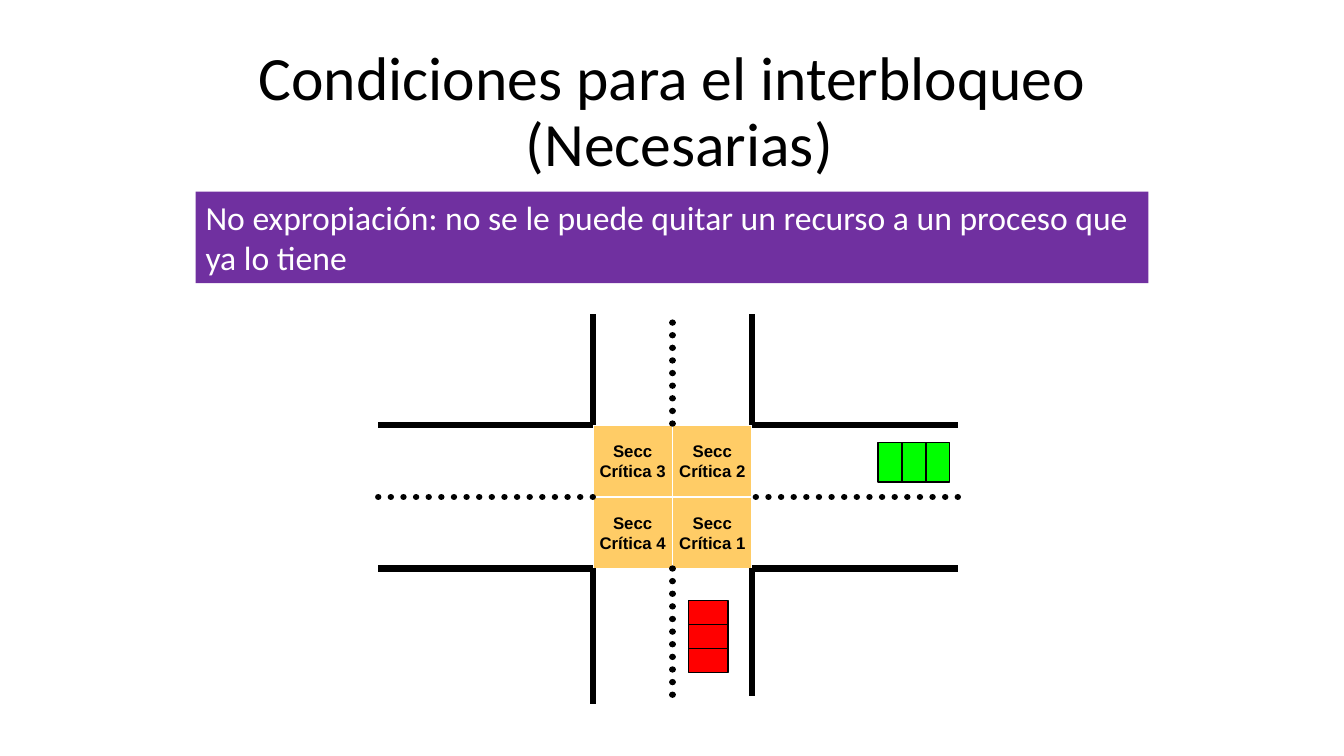
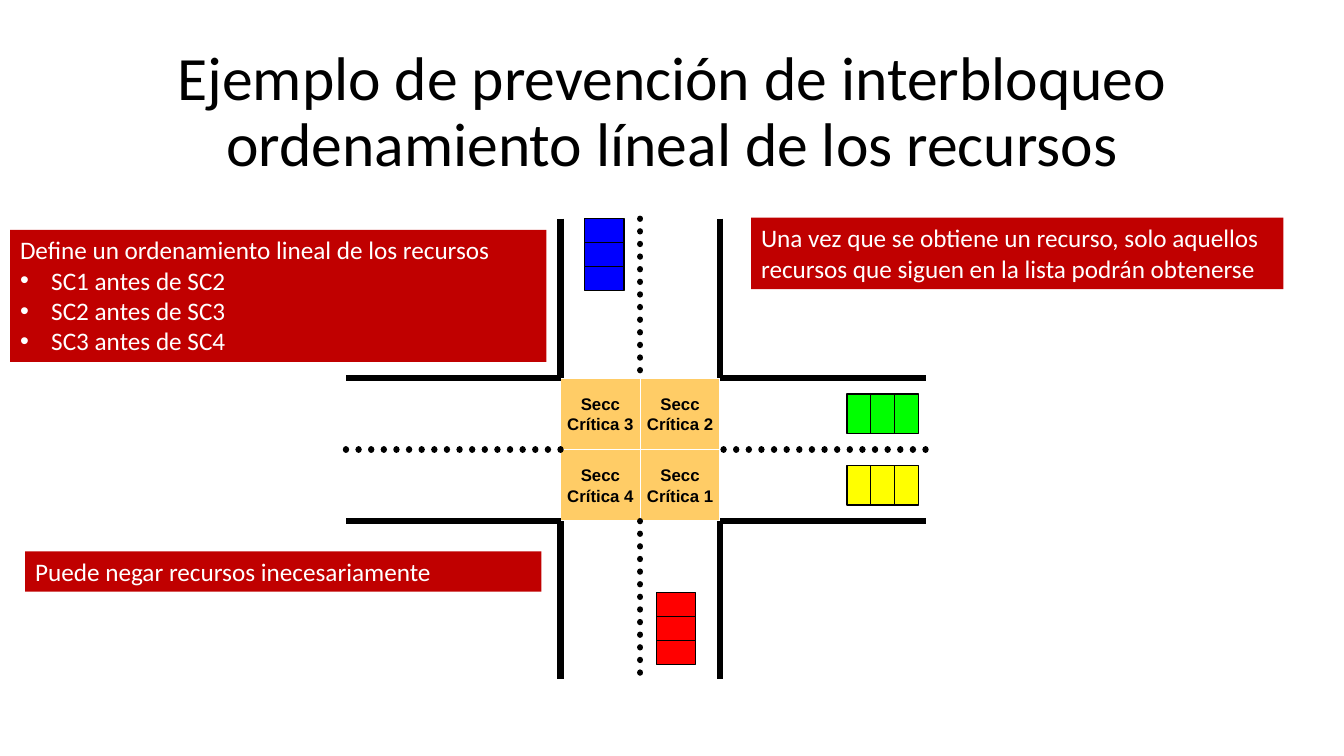
import pptx
import pptx.util
import pptx.dml.color
import pptx.enum.dml
import pptx.enum.shapes
import pptx.enum.text
import pptx.oxml
import pptx.oxml.ns

Inches = pptx.util.Inches
Pt = pptx.util.Pt
ALIGN = pptx.enum.text.PP_ALIGN
ANCHOR = pptx.enum.text.MSO_ANCHOR
FIT = pptx.enum.text.MSO_AUTO_SIZE
qn = pptx.oxml.ns.qn

# Shared colours and sizes
BLACK, WHITE, SAND = "000000", "FFFFFF", "FFCC66"
PURPLE, CRIMSON = "7030A0", "C00000"
RED, GREEN, BLUE, YELLOW = "FF0000", "00FF00", "0000FF", "FFFF00"
CELL_W, CELL_H = 0.79, 0.71
CAR_W, CAR_H = 0.39, 0.71
WEST, EAST = 2.92, 2.83


def paint(part, color):
    """Set a font colour, or a solid fill, from a hex string."""
    if hasattr(part, "solid"):
        part.solid()
        part = part.fore_color
    else:
        part = part.color
    part.rgb = pptx.dml.color.RGBColor.from_string(color)


def add_run(para, text, size, color, font="Calibri", bold=False):
    run = para.add_run()
    run.text = text
    run.font.name = font
    run.font.size = Pt(size)
    run.font.bold = bold
    paint(run.font, color)


def add_rect(shapes, left, top, width, height, fill, edge=None):
    rect = shapes.add_shape(
        pptx.enum.shapes.MSO_SHAPE.RECTANGLE,
        Inches(left), Inches(top), Inches(width), Inches(height))
    rect.shadow.inherit = False
    paint(rect.fill, fill)
    if edge:
        paint(rect.line, edge)
        rect.line.width = Pt(1)
    else:
        rect.line.fill.background()
    return rect


def add_slide(deck, lines):
    """Add a slide whose title is split into the given lines."""
    slide = deck.slides.add_slide(deck.slide_layouts[5])
    title = slide.shapes.title
    title.left, title.top = Inches(0.92), Inches(0.4)
    title.width, title.height = Inches(11.5), Inches(1.45)
    frame = title.text_frame
    frame.word_wrap = True
    frame.auto_size = FIT.NONE
    frame.vertical_anchor = ANCHOR.MIDDLE
    para = frame.paragraphs[0]
    para.alignment = ALIGN.CENTER
    para.line_spacing = 0.9
    for i, line in enumerate(lines):
        if i:
            para.add_line_break()
        add_run(para, line, 44, BLACK)
    return slide


def add_bullet(para):
    props = para._p.get_or_add_pPr()
    props.set("marL", str(Inches(0.31)))
    props.set("indent", str(-Inches(0.31)))
    for tag, key, value in (("buFont", "typeface", "Arial"),
                            ("buChar", "char", "•")):
        mark = pptx.oxml.parse_xml(
            f'<a:{tag} {pptx.oxml.ns.nsdecls("a")} {key}="{value}"/>')
        props.append(mark)


def add_note(slide, place, fill, size, text, items=()):
    """Add a filled box with a sentence and optional bullets."""
    note = add_rect(slide.shapes, *place, fill)
    frame = note.text_frame
    frame.word_wrap = True
    frame.auto_size = FIT.SHAPE_TO_FIT_TEXT
    frame.vertical_anchor = ANCHOR.TOP
    for i, line in enumerate((text, *items)):
        para = frame.add_paragraph() if i else frame.paragraphs[0]
        para.alignment = ALIGN.LEFT
        if i:
            add_bullet(para)
        add_run(para, line, size, WHITE)


def add_line(slide, start, end, dotted=False):
    line = slide.shapes.add_connector(
        pptx.enum.shapes.MSO_CONNECTOR.STRAIGHT,
        *(Inches(v) for v in (*start, *end)))
    paint(line.line, BLACK)
    line.line.width = Pt(4.5)
    props = line._element.spPr
    if dotted:
        line.line.dash_style = pptx.enum.dml.MSO_LINE.ROUND_DOT
        props.find(qn("a:ln")).set("cap", "rnd")
    props.append(props.makeelement(qn("a:effectLst"), {}))


def add_cell(slide, left, top, number):
    cell = add_rect(slide.shapes, left, top, CELL_W, CELL_H, SAND, WHITE)
    frame = cell.text_frame
    frame.word_wrap = False
    frame.vertical_anchor = ANCHOR.MIDDLE
    for i, text in enumerate(("Secc", f"Crítica {number}")):
        para = frame.add_paragraph() if i else frame.paragraphs[0]
        para.alignment = ALIGN.CENTER
        add_run(para, text, 12, BLACK, "Arial", True)


def add_cross(slide, x, y, tops, ends):
    """Draw a crossing centred on x, y.

    tops and ends hold the outer ends of the left kerb, the middle
    line and the right kerb.
    """
    # Critical sections
    for number, col, row in ((1, 0, 0), (3, -1, -1), (2, 0, -1), (4, -1, 0)):
        add_cell(slide, x + col * CELL_W, y + row * CELL_H, number)
    # Kerbs at the sides, dotted lines in the middle
    for i, side in enumerate((-1, 0, 1)):
        dotted = side == 0
        across, down = x + side * CELL_W, y + side * CELL_H
        add_line(slide, (across, tops[i]), (across, y - CELL_H), dotted)
        add_line(slide, (across, y + CELL_H), (across, ends[i]), dotted)
        add_line(slide, (x - CELL_W, down), (x - WEST, down), dotted)
        add_line(slide, (x + EAST, down), (x + CELL_W, down), dotted)


def add_car(slide, left, top, color, turn=0):
    """Draw a car as a body with a cabin across its middle third."""
    car = slide.shapes.add_group_shape()
    third = CAR_H / 3
    for drop, height in ((0, CAR_H), (third, third)):
        part = add_rect(car.shapes, left, top + drop, CAR_W, height,
                        color, BLACK)
        part.rotation = turn


def main():
    deck = pptx.Presentation()
    deck.slide_width, deck.slide_height = Inches(13.33), Inches(7.5)

    # Necessary conditions
    slide = add_slide(deck, ("Condiciones para el interbloqueo",
                             " (Necesarias)"))
    add_cross(slide, 6.67, 4.93, (3.12, 3.2, 3.12), (6.98, 6.9, 6.9))
    add_car(slide, 6.83, 5.96, RED)
    add_car(slide, 8.87, 4.23, GREEN, 270)
    add_note(slide, (1.94, 1.9, 9.45, 0.91), PURPLE, 24,
             "No expropiación: no se le puede quitar un recurso "
             "a un proceso que ya lo tiene")

    # Prevention by linear order
    slide = add_slide(deck, ("Ejemplo de prevención de interbloqueo",
                             "ordenamiento líneal de los recursos"))
    add_cross(slide, 6.35, 4.46, (2.17,) * 3, (6.74,) * 3)
    for left, top, color, turn in ((6.51, 5.88, RED, 0),
                                   (5.8, 2.17, BLUE, 0),
                                   (8.56, 3.75, GREEN, 270),
                                   (8.56, 4.46, YELLOW, 270)):
        add_car(slide, left, top, color, turn)
    add_note(slide, (0.1, 2.28, 5.32, 1.31), CRIMSON, 18,
             "Define un ordenamiento lineal de los recursos",
             [f"SC{n} antes de SC{n + 1}" for n in (1, 2, 3)])
    add_note(slide, (7.45, 2.16, 5.28, 0.71), CRIMSON, 18,
             "Una vez que se obtiene un recurso, solo aquellos "
             "recursos que siguen en la lista podrán obtenerse")
    add_note(slide, (0.25, 5.47, 5.12, 0.4), CRIMSON, 18,
             "Puede negar recursos inecesariamente")

    deck.save("out.pptx")


main()
